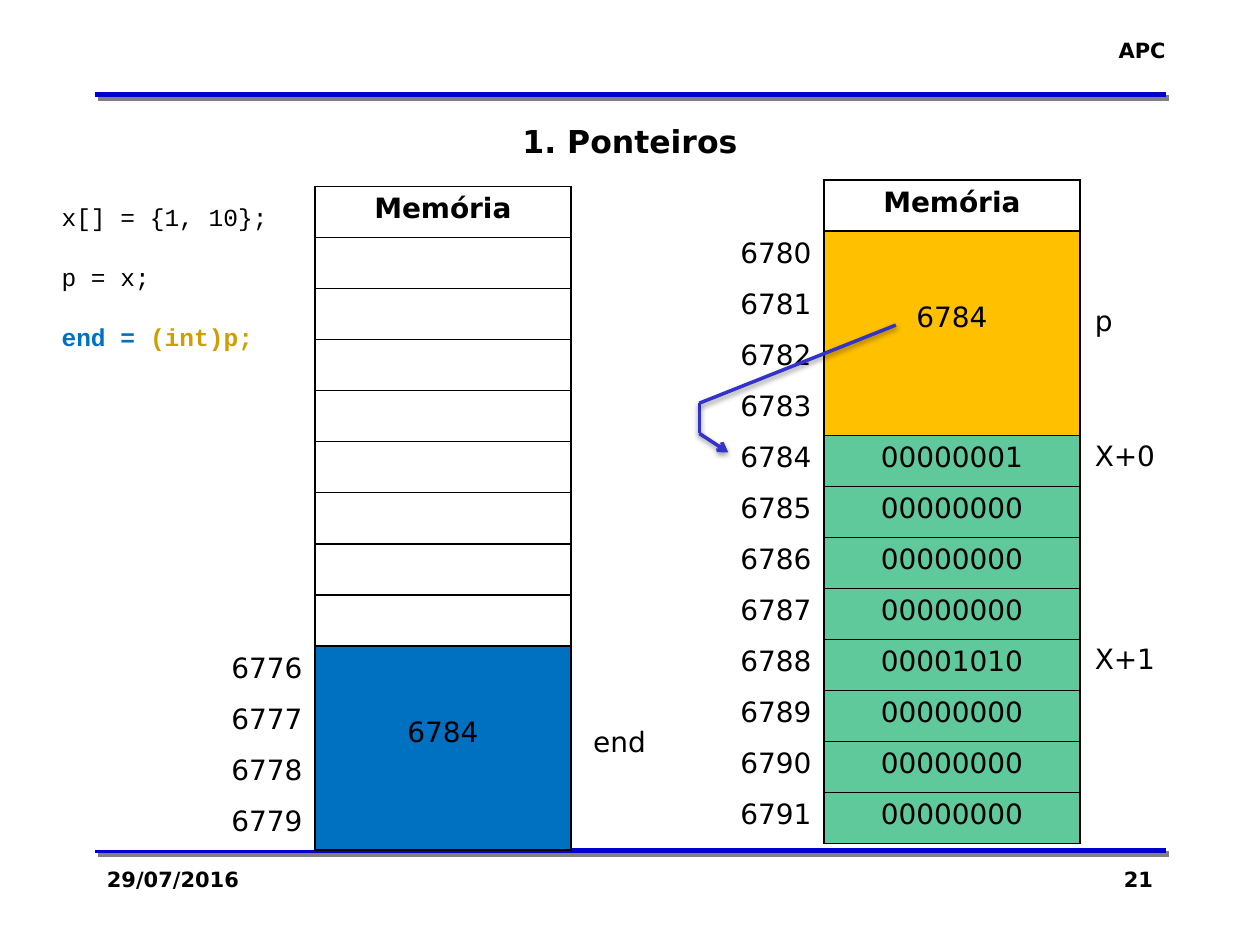
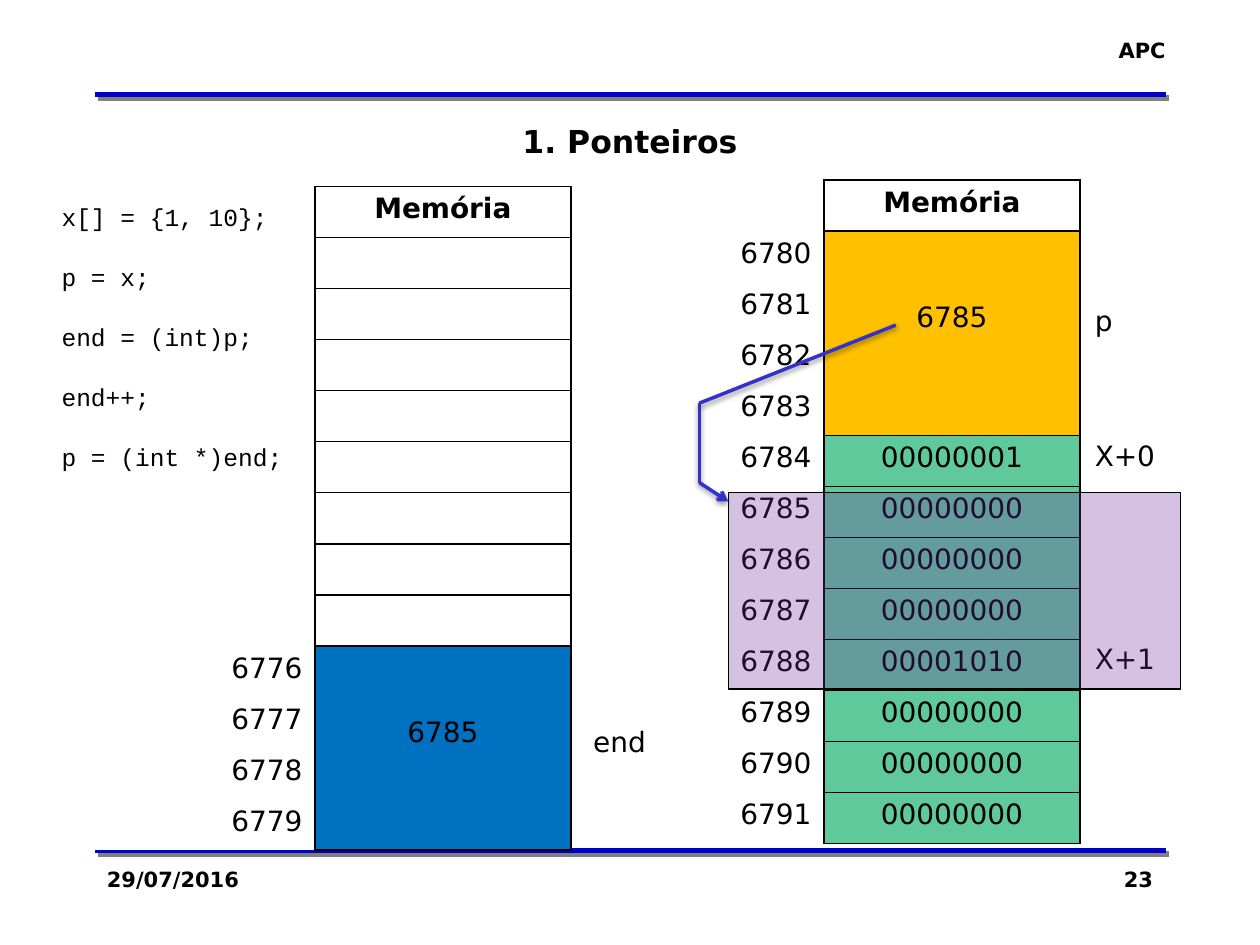
from lxml import etree
from pptx import Presentation
from pptx.dml.color import RGBColor
from pptx.enum.shapes import MSO_CONNECTOR, MSO_SHAPE
from pptx.enum.text import MSO_ANCHOR, MSO_AUTO_SIZE, PP_ALIGN
from pptx.oxml.ns import qn
from pptx.util import Inches, Pt

LEFT, CENTER, RIGHT = PP_ALIGN.LEFT, PP_ALIGN.CENTER, PP_ALIGN.RIGHT
STRAIGHT = MSO_CONNECTOR.STRAIGHT
RECTANGLE = MSO_SHAPE.RECTANGLE
MIDDLE = MSO_ANCHOR.MIDDLE
NO_AUTOFIT = MSO_AUTO_SIZE.NONE

SANS, MONO = "DejaVu Sans", "Courier New"
BLACK, WHITE = "000000", "FFFFFF"
BAND, ARROW = "0000CC", "3333CC"
BLUE, GOLD, ORANGE, GREEN, PURPLE = "0070C0", "D09E00", "FFC000", "60C99C", "7030A0"
BAND_SHADOW = ("808080", 100, 0, 2.8, 45)
ARROW_SHADOW = (BLACK, 38, 3.1, 1.6, 90)
NO_STYLE = "{2D5ABB26-0587-4C30-8999-92F81FD0307C}"
ROW_COUNT = 13
TABLE_HEIGHT = 5.27
COLUMN_WIDTHS = (2.11, 2.03)


def color(value):
    return RGBColor.from_string(value)


def add_element(parent, tag, **attributes):
    element = etree.SubElement(parent, qn(tag))
    for name, value in attributes.items():
        element.set(name, str(value))
    return element


class Deck:
    def __init__(self):
        self.presentation = Presentation()
        self.presentation.slide_width = Inches(10)
        self.presentation.slide_height = Inches(7.5)
        self.slide = None

    def new_slide(self, title, number):
        self.slide = self.presentation.slides.add_slide(self.presentation.slide_layouts[5])
        for y in (6.75, 0.75):
            self.line((0.75, y), (9.25, y), BAND, 3, BAND_SHADOW)
        self.text(8.6, 0.25, 0.75, 0.3, [[("APC",)]], 12, align=RIGHT, bold=True)
        self.text(0.75, 6.83, 2.08, 0.5, [[("29/07/2016",)]], 12, bold=True)
        self.text(7.17, 6.83, 2.08, 0.5, [[(number,)]], 12, align=RIGHT, bold=True)
        self.title(title)

    def title(self, words):
        shape = self.slide.shapes.title
        shape.left, shape.top = Inches(0.75), Inches(0.92)
        shape.width, shape.height = Inches(8.5), Inches(0.4)
        frame = shape.text_frame
        frame.auto_size = NO_AUTOFIT
        frame.vertical_anchor = MIDDLE
        frame.paragraphs[0].alignment = CENTER
        self.run(frame.paragraphs[0], words, 18, bold=True)

    def run(self, paragraph, words, size, tint=BLACK, bold=False, font=SANS):
        run = paragraph.add_run()
        run.text = words
        run.font.name = font
        run.font.size = Pt(size)
        run.font.bold = bold
        run.font.color.rgb = color(tint)

    def text(self, left, top, width, height, lines, size, align=LEFT, bold=False,
             font=SANS, gaps=()):
        shape = self.slide.shapes.add_textbox(
            Inches(left), Inches(top), Inches(width), Inches(height))
        frame = shape.text_frame
        frame.word_wrap = True
        for index, line in enumerate(lines):
            paragraph = frame.add_paragraph() if index else frame.paragraphs[0]
            paragraph.alignment = align
            if index and gaps:
                paragraph.space_before = Pt(gaps[index - 1])
            for words, *tint in line:
                self.run(paragraph, words, size, *(tint or [BLACK]),
                         bold=bold or bool(tint), font=font)

    def code(self, lines):
        self.text(0.39, 1.55, 2.05, 0.47 * len(lines), lines, 14,
                  font=MONO, gaps=[17.6] * (len(lines) - 1))

    def line(self, start, end, tint, width, shadow, arrow=False):
        points = [Inches(value) for value in (*start, *end)]
        connector = self.slide.shapes.add_connector(STRAIGHT, *points)
        connector.line.color.rgb = color(tint)
        connector.line.width = Pt(width)
        if arrow:
            add_element(connector.line._get_or_add_ln(), "a:tailEnd", type="arrow")
        shadow_tint, opacity, blur, distance, angle = shadow
        effects = add_element(connector._element.spPr, "a:effectLst")
        outer = add_element(effects, "a:outerShdw", blurRad=Pt(blur), dist=Pt(distance),
                            dir=angle * 60000, algn="ctr", rotWithShape=0)
        tone = add_element(outer, "a:srgbClr", val=shadow_tint)
        add_element(tone, "a:alpha", val=opacity * 1000)

    def highlight(self, left, top, width, height, tint, opacity):
        shape = self.slide.shapes.add_shape(
            RECTANGLE, Inches(left), Inches(top), Inches(width), Inches(height))
        shape.shadow.inherit = False
        shape.fill.solid()
        shape.fill.fore_color.rgb = color(tint)
        tone = shape._element.spPr.find(qn("a:solidFill"))[0]
        add_element(tone, "a:alpha", val=opacity * 1000)
        shape.line.color.rgb = color(BLACK)
        shape.line.width = Pt(0.75)

    def cell(self, cell, words, fill, align, sides, bold=False, top=0.05):
        cell.margin_left = cell.margin_right = Inches(0.1)
        cell.margin_top = Inches(top if words else 0)
        cell.margin_bottom = Inches(0.05 if words else 0)
        properties = cell._tc.get_or_add_tcPr()
        for side in sides:
            border = add_element(properties, f"a:ln{side}", w=Pt(1))
            add_element(add_element(border, "a:solidFill"), "a:srgbClr", val=BLACK)
        cell.fill.solid()
        cell.fill.fore_color.rgb = color(fill)
        if words:
            paragraph = cell.text_frame.paragraphs[0]
            paragraph.alignment = align
            self.run(paragraph, words, 16, bold=bold)

    def memory_table(self, left, top, addresses, blocks):
        frame = self.slide.shapes.add_table(
            ROW_COUNT, 2, Inches(left), Inches(top),
            Inches(sum(COLUMN_WIDTHS)), Inches(TABLE_HEIGHT))
        table = frame.table
        table.first_row = table.horz_banding = False
        table._tbl.tblPr.find(qn("a:tableStyleId")).text = NO_STYLE
        for column, width in zip(table.columns, COLUMN_WIDTHS):
            column.width = Inches(width)
        for row in table.rows:
            row.height = Inches(TABLE_HEIGHT / ROW_COUNT)
        unlabelled = ROW_COUNT - len(addresses)
        for row, address in enumerate([""] * unlabelled + addresses):
            self.cell(table.cell(row, 0), address, WHITE, RIGHT, "R")
        self.cell(table.cell(0, 1), "Memória", WHITE, CENTER, "LRTB", bold=True)
        row = 1
        for words, fill, span in blocks:
            if span > 1:
                table.cell(row, 1).merge(table.cell(row + span - 1, 1))
            for offset in range(span):
                self.cell(table.cell(row + offset, 1), "" if offset else words, fill,
                          CENTER, "LRTB", top=0.56 if span > 1 else 0.05)
            row += span

    def memory_slide(self, number, pointer, code, arrow_bottom):
        self.new_slide("1. Ponteiros", number)
        array_bytes = ["00000000"] * 8
        array_bytes[0], array_bytes[4] = "00000001", "00001010"
        self.memory_table(4.43, 1.43, [str(value) for value in range(6780, 6792)],
                          [(pointer, ORANGE, 4)] + [(byte, GREEN, 1) for byte in array_bytes])
        self.text(8.59, 2.36, 0.78, 3.06, [[("p",)], [("X+0",)], [("X+1",)]], 16,
                  gaps=(58, 97))
        self.memory_table(0.39, 1.48, [str(value) for value in range(6776, 6780)],
                          [("", WHITE, 1)] * 8 + [(pointer, BLUE, 4)])
        self.text(4.61, 5.7, 0.78, 0.37, [[("end",)]], 16)
        self.code(code)
        bend, corner = (5.55, 3.2), (5.55, arrow_bottom)
        target = (5.78, arrow_bottom + 0.15)
        self.line(bend, corner, ARROW, 2, ARROW_SHADOW)
        self.line((7.11, 2.58), bend, ARROW, 2, ARROW_SHADOW)
        self.line(corner, target, ARROW, 2, ARROW_SHADOW, arrow=True)


def main():
    deck = Deck()
    setup = [[("x[] = {1, 10};",)], [("p = x;",)]]
    deck.memory_slide("21", "6784", setup + [[("end = ", BLUE), ("(int)p;", GOLD)]], 3.44)
    deck.memory_slide("23", "6785", setup + [
        [("end = (int)p;",)], [("end++;",)], [("p = (int *)end;",)]], 3.83)
    deck.highlight(5.78, 3.91, 3.59, 1.56, PURPLE, 29)
    deck.presentation.save("out.pptx")


if __name__ == "__main__":
    main()
